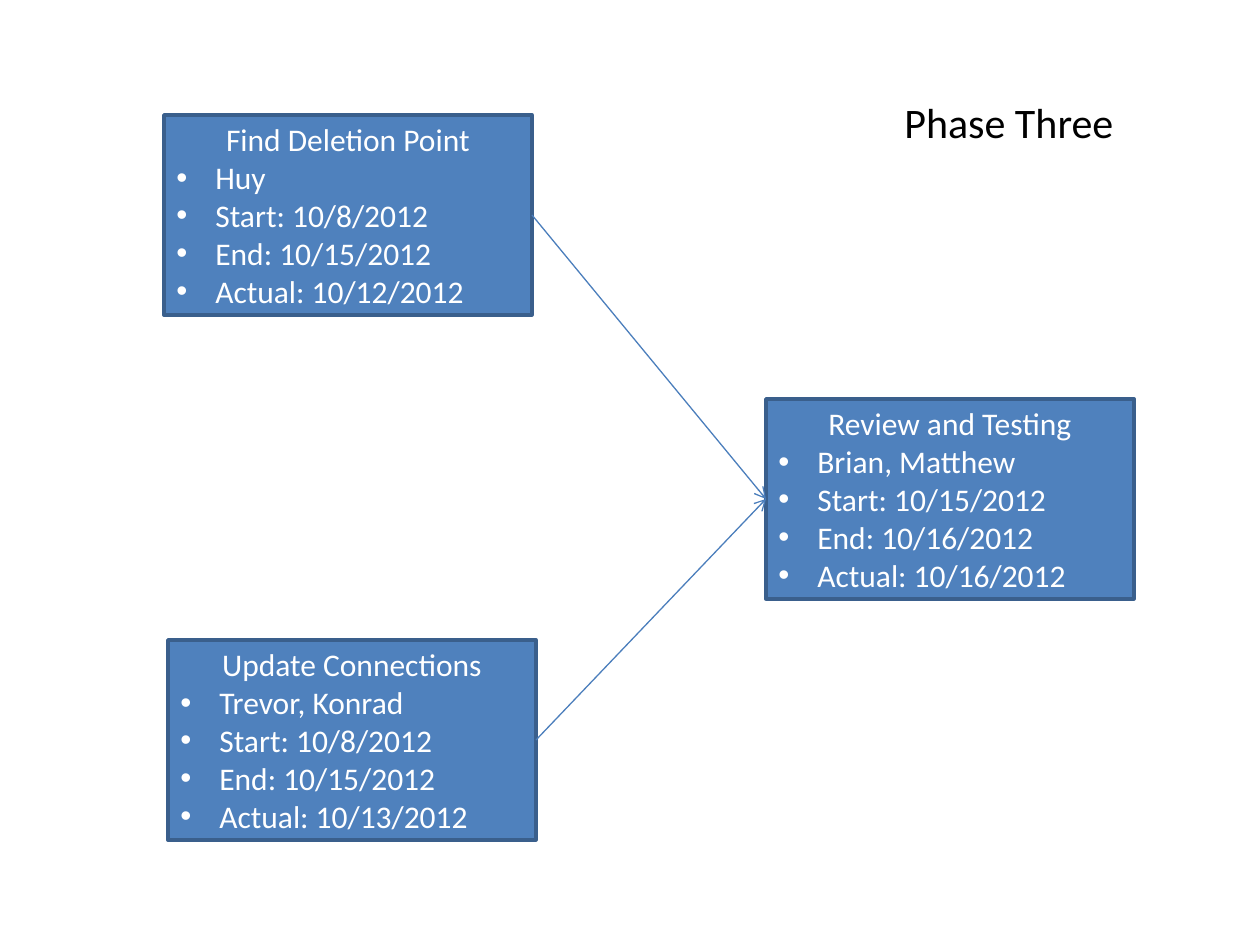
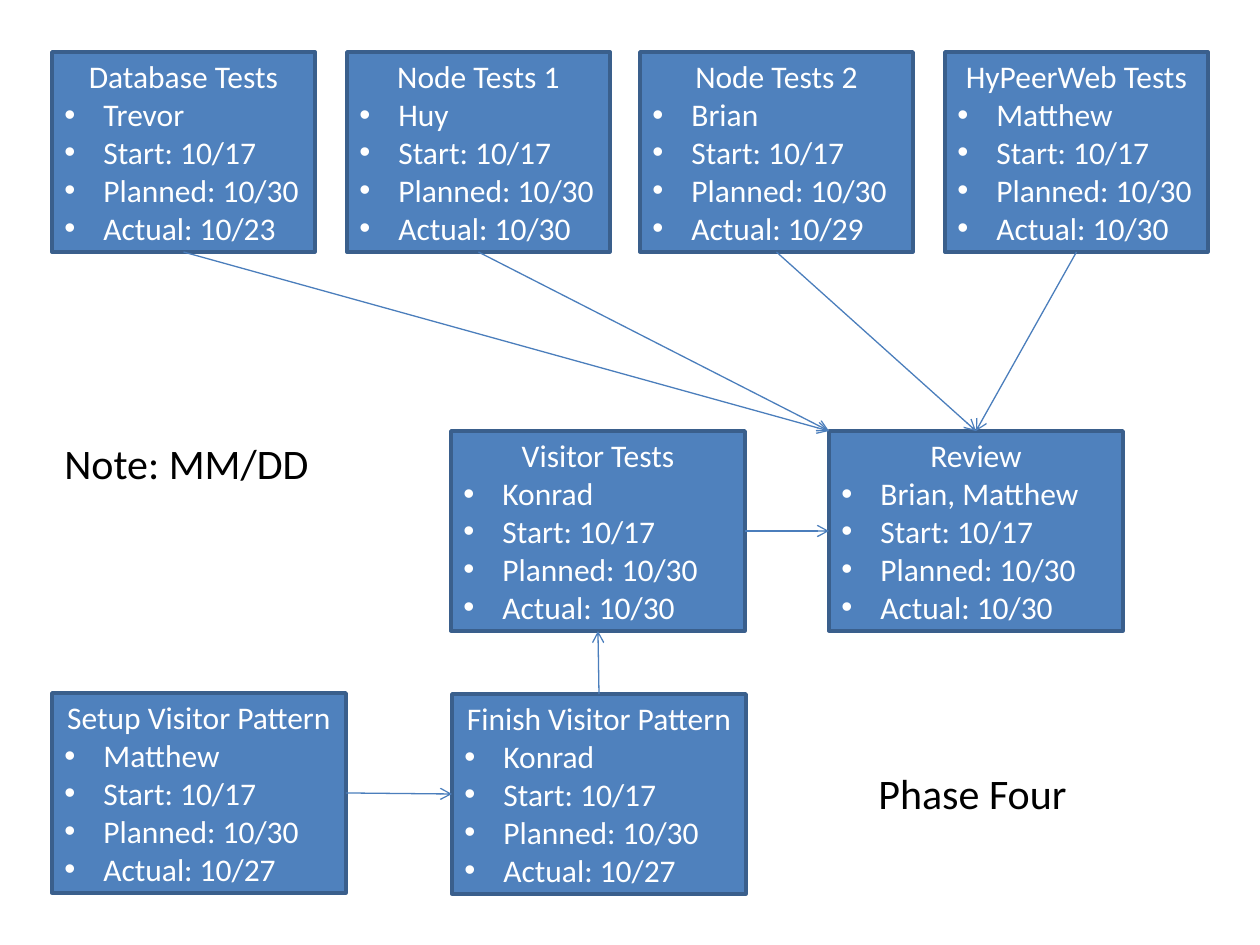
from lxml.etree import SubElement
from pptx import Presentation
from pptx.dml.color import RGBColor
from pptx.enum.shapes import MSO_CONNECTOR, MSO_SHAPE
from pptx.enum.text import MSO_ANCHOR, MSO_AUTO_SIZE, PP_ALIGN
from pptx.oxml.ns import qn
from pptx.util import Pt

SCALE = 914400 / 126
BOX_FILL, BOX_LINE, ARROW_LINE = "4F81BD", "3A5F8C", "4B7EBC"
BOX_FONT = {"name": "Calibri", "size": Pt(18), "color": "FFFFFF"}
LABEL_FONT = {"name": "Calibri", "size": Pt(24), "color": "000000"}
BOX_HEIGHT, LABEL_HEIGHT, BULLET_INDENT = 200, 63, 39
TOP, LEFT, BOTTOM, RIGHT = range(4)
CORNER = None


def pixels(*lengths):
    return [round(length * SCALE) for length in lengths]


def format_font(font, values):
    for name, value in values.items():
        if name == "color":
            font.color.rgb = RGBColor.from_string(value)
        else:
            setattr(font, name, value)


slides = [
    {
        "end_label": "End",
        "boxes": [
            ("Find Deletion Point", 164, 115, 368, "Huy", "10/8/2012", "10/15/2012", "10/12/2012"),
            ("Update Connections", 168, 640, 368, "Trevor, Konrad", "10/8/2012", "10/15/2012", "10/13/2012"),
            ("Review and Testing", 766, 399, 368, "Brian, Matthew", "10/15/2012", "10/16/2012", "10/16/2012"),
        ],
        "arrows": [
            ("Find Deletion Point", RIGHT, "Review and Testing", LEFT),
            ("Update Connections", RIGHT, "Review and Testing", LEFT),
        ],
        "labels": [("Phase Three", 892, 90, 242)],
    },
    {
        "end_label": "Planned",
        "boxes": [
            ("Database Tests", 52, 52, 263, "Trevor", "10/17", "10/30", "10/23"),
            ("HyPeerWeb Tests", 945, 52, 263, "Matthew", "10/17", "10/30", "10/30"),
            ("Visitor Tests", 451, 431, 294, "Konrad", "10/17", "10/30", "10/30"),
            ("Node Tests 1", 347, 52, 263, "Huy", "10/17", "10/30", "10/30"),
            ("Node Tests 2", 640, 52, 273, "Brian", "10/17", "10/30", "10/29"),
            ("Setup Visitor Pattern", 52, 693, 294, "Matthew", "10/17", "10/30", "10/27"),
            ("Finish Visitor Pattern", 452, 694, 294, "Konrad", "10/17", "10/30", "10/27"),
            ("Review", 829, 431, 294, "Brian, Matthew", "10/17", "10/30", "10/30"),
        ],
        "arrows": [
            ("Setup Visitor Pattern", RIGHT, "Finish Visitor Pattern", LEFT),
            ("Finish Visitor Pattern", TOP, "Visitor Tests", BOTTOM),
            ("Visitor Tests", RIGHT, "Review", LEFT),
            ("Database Tests", BOTTOM, "Review", CORNER),
            ("Node Tests 1", BOTTOM, "Review", CORNER),
            ("Node Tests 2", BOTTOM, "Review", TOP),
            ("HyPeerWeb Tests", BOTTOM, "Review", TOP),
        ],
        "labels": [("Phase Four", 866, 761, 221), ("Note: MM/DD", 52, 431, 294)],
    },
]

presentation = Presentation()
presentation.slide_width, presentation.slide_height = pixels(1260, 945)

for content in slides:
    slide = presentation.slides.add_slide(presentation.slide_layouts[6])
    shapes = {}

    for title, left, top, width, people, start, end, actual in content["boxes"]:
        shape = slide.shapes.add_shape(MSO_SHAPE.RECTANGLE, *pixels(left, top, width, BOX_HEIGHT))
        shapes[title] = shape
        shape.shadow.inherit = False
        shape.fill.solid()
        shape.fill.fore_color.rgb = RGBColor.from_string(BOX_FILL)
        shape.line.color.rgb = RGBColor.from_string(BOX_LINE)
        shape.line.width = Pt(2)
        frame = shape.text_frame
        frame.word_wrap = True
        frame.vertical_anchor = MSO_ANCHOR.MIDDLE
        details = [people, f"Start: {start}", f"{content['end_label']}: {end}", f"Actual: {actual}"]
        frame.text = "\n".join([title] + details)
        for paragraph in frame.paragraphs:
            paragraph.alignment = PP_ALIGN.LEFT
            format_font(paragraph.runs[0].font, BOX_FONT)
        frame.paragraphs[0].alignment = PP_ALIGN.CENTER
        indent = pixels(BULLET_INDENT)[0]
        for paragraph in frame.paragraphs[1:]:
            properties = paragraph._p.get_or_add_pPr()
            properties.set("marL", str(indent))
            properties.set("indent", str(-indent))
            SubElement(properties, qn("a:buFont"), typeface="Arial")
            SubElement(properties, qn("a:buChar"), char="•")

    for source, source_side, target, target_side in content["arrows"]:
        corner = shapes[target].left, shapes[target].top
        connector = slide.shapes.add_connector(MSO_CONNECTOR.STRAIGHT, *corner, *corner)
        connector.begin_connect(shapes[source], source_side)
        if target_side is not CORNER:
            connector.end_connect(shapes[target], target_side)
        connector.line.color.rgb = RGBColor.from_string(ARROW_LINE)
        connector.line.width = Pt(0.75)
        SubElement(connector.line._get_or_add_ln(), qn("a:tailEnd"), type="arrow")
        SubElement(connector._element.spPr, qn("a:effectLst"))

    for text, left, top, width in content["labels"]:
        label = slide.shapes.add_textbox(*pixels(left, top, width, LABEL_HEIGHT))
        frame = label.text_frame
        frame.word_wrap = True
        frame.auto_size = MSO_AUTO_SIZE.SHAPE_TO_FIT_TEXT
        frame.text = text
        format_font(frame.paragraphs[0].runs[0].font, LABEL_FONT)

presentation.save("out.pptx")
